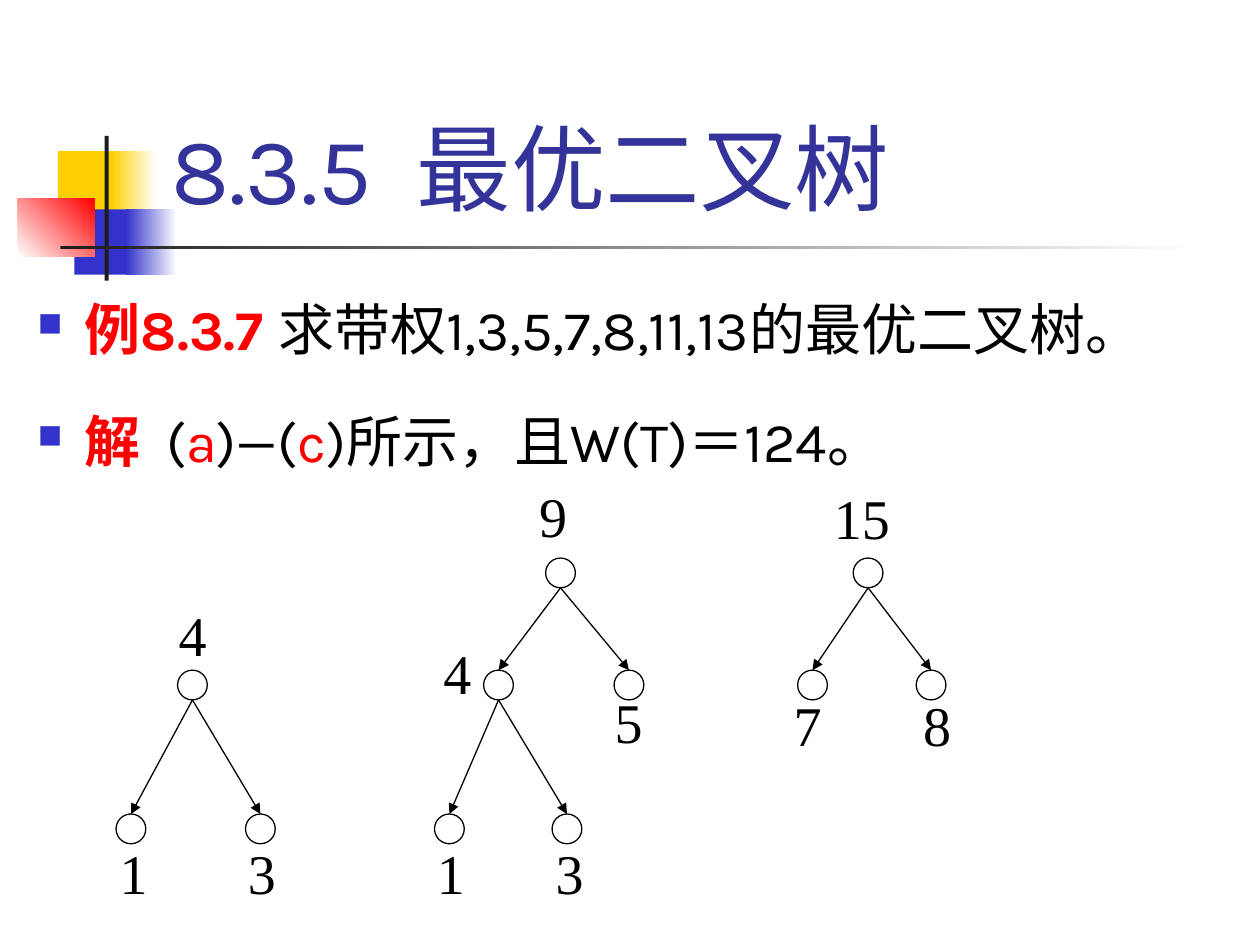
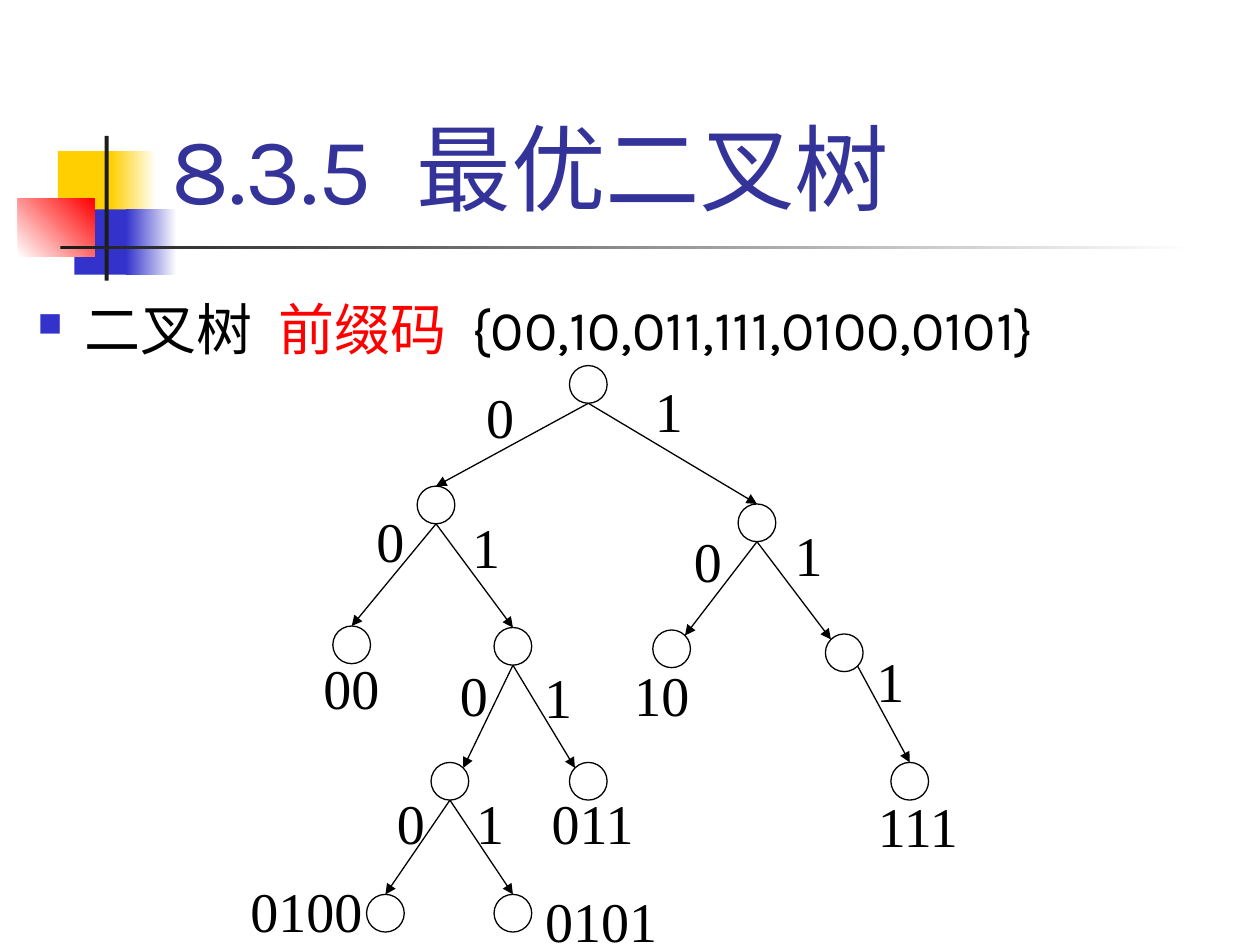
from lxml import etree
from pptx import Presentation
from pptx.dml.color import RGBColor
from pptx.enum import shapes, text
from pptx.oxml.ns import qn
from pptx.util import Cm, Pt

BLACK, WHITE, RED, BLUE, NAVY = "000000", "FFFFFF", "FF0000", "3333CC", "333399"
GOLD, DARK = "FFCF01", "1C1C1C"
SANS, SERIF = "Karla", "Times New Roman"
TITLE = "8.3.5  最优二叉树"

# left, top, width, height, colours (two make a gradient), angle
BANDS = [
    (1.17, 3.05, 1.22, 1.32, [GOLD], 0),
    (2.24, 3.05, 0.91, 1.32, [GOLD, WHITE], 0),
    (1.5, 4.22, 1.17, 1.32, [BLUE], 0),
    (2.54, 4.22, 1.02, 1.32, [BLUE, WHITE], 0),
    (0.36, 4.01, 1.55, 1.17, [WHITE, RED], 45),
    (2.11, 2.74, 0.08, 2.92, [DARK], 0),
    (1.22, 4.95, 22.86, 0.08, [DARK, WHITE], 0),
]

# Nodes are keyed by their route from the root: a letter for the tree, then
# 0 for left and 1 for right. "enter" and "leave" name the corner (dx, dy)
# where an edge meets a node away from its top or bottom.
SLIDES = [
    {
        "body": [
            [("例8.3.7 ", RED, True), ("求带权1,3,5,7,8,11,13的最优二叉树。", BLACK, False)],
            [("解 ", RED, True), (" (", BLACK, False), ("a", RED, False),
             (")—(", BLACK, False), ("c", RED, False),
             (")所示，且W(T)＝124。", BLACK, False)],
        ],
        "labels": [
            ("3", 10.9, 16.76), ("8", 18.31, 13.77), ("7", 15.7, 13.77),
            ("15", 16.51, 9.6), ("1", 8.51, 16.76), ("5", 12.09, 13.72),
            ("4", 8.64, 12.73), ("9", 10.57, 9.55), ("3", 4.7, 16.76),
            ("1", 2.11, 16.76), ("4", 3.3, 11.96),
        ],
        "size": 0.6,
        "nodes": {
            "a": (3.58, 13.51), "a0": (2.34, 16.41), "a1": (4.95, 16.41),
            "b": (11, 11.25), "b0": (9.75, 13.51), "b1": (12.38, 13.51),
            "b00": (8.76, 16.41), "b01": (11.13, 16.41),
            "c": (17.2, 11.25), "c0": (16.08, 13.51), "c1": (18.47, 13.51),
        },
        "enter": {},
        "leave": {},
    },
    {
        "body": [
            [("二叉树  ", BLACK, False), ("前缀码  ", RED, False),
             ("{00,10,011,111,0100,0101}", BLACK, False)],
        ],
        "labels": [
            ("0100", 4.75, 17.53, 3.12), ("0101", 10.69, 17.73, 3.18),
            ("00", 6.22, 13.03), ("011", 10.82, 15.75, 2.69),
            ("111", 17.4, 15.8, 2.92), ("10", 12.47, 13.16),
            ("1", 17.37, 12.88), ("1", 10.67, 13.21), ("0", 8.97, 13.16, 1.52),
            ("0", 7.7, 15.75, 1.88), ("1", 9.3, 15.75, 1.78),
            ("0", 7.29, 10.06), ("1", 9.22, 10.19), ("0", 13.69, 10.46),
            ("1", 15.72, 10.34), ("0", 9.5, 7.57), ("1", 12.9, 7.44),
        ],
        "size": 0.76,
        "nodes": {
            "r": (11.48, 7.37), "r0": (8.41, 9.8), "r1": (14.88, 10.16),
            "r00": (6.71, 12.62), "r01": (9.96, 12.65),
            "r10": (13.16, 12.7), "r11": (16.64, 12.78),
            "r010": (8.69, 15.37), "r011": (11.48, 15.37), "r111": (17.96, 15.37),
            "r0100": (7.39, 18.03), "r0101": (9.96, 18.03),
        },
        "enter": {"r10": (0.71, -0.71), "r11": (-0.71, -0.71),
                  "r010": (0.71, -0.71), "r011": (-0.71, -0.71)},
        "leave": {"r111": (0.71, 0.71)},
    },
]


def rgb(code):
    return RGBColor.from_string(code)


def add(parent, tag, **attrs):
    return etree.SubElement(parent, qn(tag), attrs)


def shape(slide, kind, box, fills, line=None, angle=0):
    item = slide.shapes.add_shape(kind, *map(Cm, box))
    item.shadow.inherit = False
    if len(fills) > 1:
        item.fill.gradient()
        item.fill.gradient_angle = angle
        for stop, code in zip(item.fill.gradient_stops, fills):
            stop.color.rgb = rgb(code)
    else:
        item.fill.solid()
        item.fill.fore_color.rgb = rgb(fills[0])
    if line:
        item.line.color.rgb = rgb(line)
        item.line.width = Pt(0.75)
    else:
        item.line.fill.background()
    return item


def write(item, paras, font=SANS, size=32, inset=(0.25, 0.13),
          anchor=text.MSO_ANCHOR.TOP, bullet=False):
    """Fill a shape with paragraphs, each a list of (text, colour, bold)."""
    frame = item.text_frame
    frame.word_wrap = True
    frame.vertical_anchor = anchor
    frame.margin_left = frame.margin_right = Cm(inset[0])
    frame.margin_top = frame.margin_bottom = Cm(inset[1])
    for i, runs in enumerate(paras):
        para = frame.add_paragraph() if i else frame.paragraphs[0]
        para.alignment = text.PP_ALIGN.LEFT
        if bullet:
            props = para._p.get_or_add_pPr()
            props.set("marL", str(Cm(0.95)))
            props.set("indent", str(-Cm(0.95)))
            add(add(props, "a:buClr"), "a:srgbClr", val=BLUE)
            add(props, "a:buSzPct", val="60000")
            add(props, "a:buChar", char="■")
            para.line_spacing = 1.5
            if i:
                para.space_before = Pt(0.2 * size)
        for words, code, bold in runs:
            run = para.add_run()
            run.text = words
            run.font.name, run.font.size, run.font.bold = font, Pt(size), bold
            run.font.color.rgb = rgb(code)


def frame(slide, body):
    """Draw the shared bands and title, then the bulleted body."""
    for *box, fills, angle in BANDS:
        shape(slide, shapes.MSO_SHAPE.RECTANGLE, box, fills, angle=angle)
    title = slide.shapes.add_textbox(Cm(3.2), Cm(0.58), Cm(21.64), Cm(4.06))
    write(title, [[(TITLE, NAVY, False)]], size=54, anchor=text.MSO_ANCHOR.BOTTOM)
    area = slide.shapes.add_textbox(Cm(0.51), Cm(5.13), Cm(24.89), Cm(13.92))
    write(area, body, bullet=True)


def label(slide, words, left, top, width=2.21):
    item = shape(slide, shapes.MSO_SHAPE.RECTANGLE, (left, top, width, 2.16),
                 [WHITE], WHITE)
    write(item, [[(words, BLACK, False)]], font=SERIF, inset=(0.3, 0.15))


def port(spot, size, way):
    """Point on a node's rim in direction way from its centre."""
    return [Cm(p + size / 2 * (1 + d)) for p, d in zip(spot, way)]


def tree(slide, nodes, size, enter, leave):
    rings = {key: shape(slide, shapes.MSO_SHAPE.OVAL, (*spot, size, size),
                        [WHITE], BLACK)
             for key, spot in nodes.items()}
    for key, spot in nodes.items():
        root = key[:-1]
        if not root:
            continue
        start = port(nodes[root], size, leave.get(key, (0, 1)))
        end = port(spot, size, enter.get(key, (0, -1)))
        edge = slide.shapes.add_connector(shapes.MSO_CONNECTOR.STRAIGHT, *start, *end)
        if key not in enter:
            edge.end_connect(rings[key], 0)
        edge.line.color.rgb = rgb(BLACK)
        edge.line.width = Pt(0.75)
        add(edge.line._get_or_add_ln(), "a:tailEnd", type="triangle")
        add(edge._element.spPr, "a:effectLst")


def main():
    deck = Presentation()
    deck.slide_width, deck.slide_height = Cm(25.4), Cm(19.05)
    for page in SLIDES:
        slide = deck.slides.add_slide(deck.slide_layouts[6])
        frame(slide, page["body"])
        for item in page["labels"]:
            label(slide, *item)
        tree(slide, page["nodes"], page["size"], page["enter"], page["leave"])
    deck.save("out.pptx")


if __name__ == "__main__":
    main()
